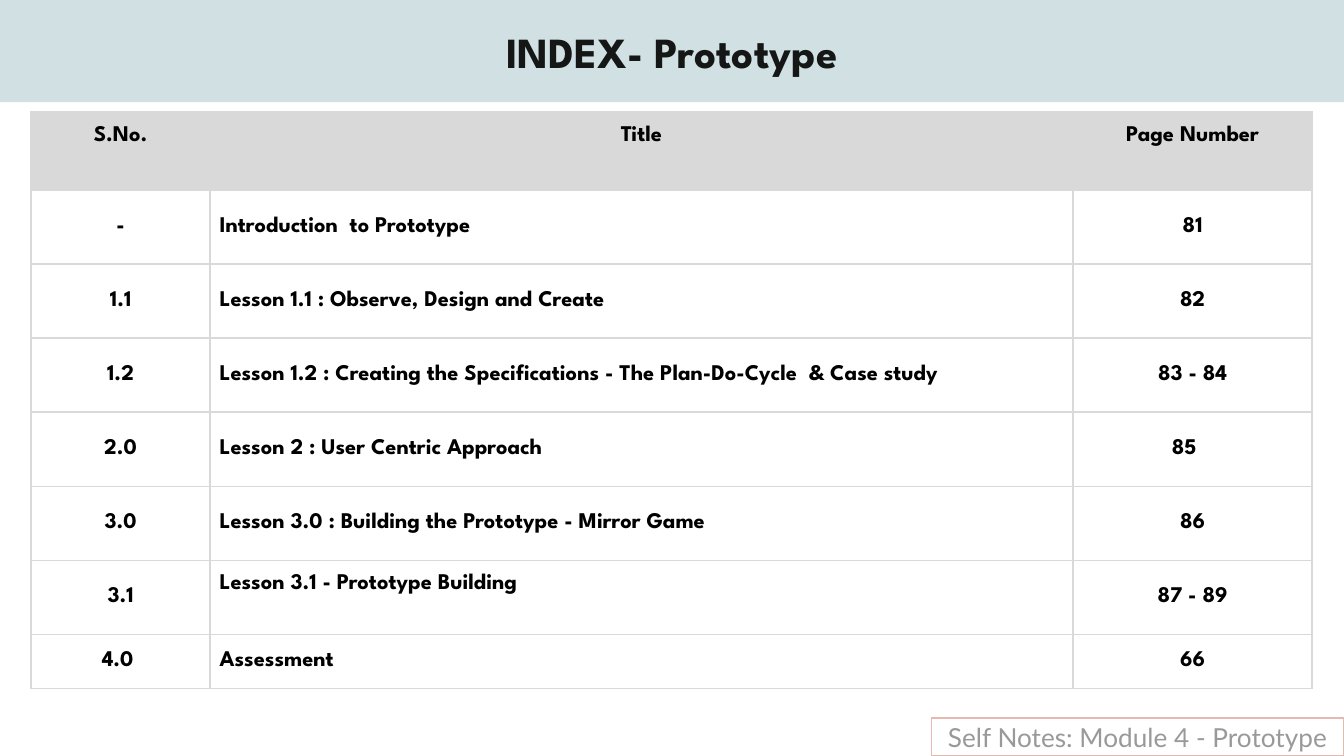
"""Build the index slide of the Prototype module."""
import pptx
import pptx.util
import pptx.dml.color
import pptx.enum.shapes
import pptx.enum.text
import pptx.oxml
import pptx.oxml.ns

Cm, Pt = pptx.util.Cm, pptx.util.Pt
ALIGN = pptx.enum.text.PP_ALIGN
ANCHOR = pptx.enum.text.MSO_ANCHOR
COLORS = {"band": "D0E0E3", "title": "151616", "text": "000000",
          "grid": "D9D9D9", "note": "999999", "note_line": "E6B8AF"}
COLS = [3.38, 16.31, 4.52]
ROW_HEIGHTS = [1.47] + [1.4] * 6 + [1.02]
ROWS = [
    ("S.No.", "Title", "Page Number"),
    ("-", "Introduction  to Prototype", "81"),
    ("1.1", "Lesson 1.1 : Observe, Design and Create", "82"),
    ("1.2", "Lesson 1.2 : Creating the Specifications - The Plan-Do-Cycle  & Case study", "83 - 84"),
    ("2.0", "Lesson 2 : User Centric Approach", "85"),
    ("3.0", "Lesson 3.0 : Building the Prototype - Mirror Game", "86"),
    ("3.1", "Lesson 3.1 - Prototype Building", "87 - 89"),
    ("4.0 ", "Assessment", "66"),
]


def rgb(name):
    return pptx.dml.color.RGBColor.from_string(COLORS[name])


def set_text(tf, text, size=12, font="League Spartan", color="text", bold=True,
             align=ALIGN.CENTER):
    p = tf.paragraphs[0]
    p.alignment = align
    r = p.add_run()
    r.text = text
    r.font.size, r.font.name, r.font.bold = Pt(size), font, bold
    r.font.color.rgb = rgb(color)


def place(sp, left, top, width, height):
    sp.left, sp.top, sp.width, sp.height = Cm(left), Cm(top), Cm(width), Cm(height)


def set_frame(tf, wrap=True):
    tf.word_wrap = wrap
    tf.auto_size = pptx.enum.text.MSO_AUTO_SIZE.NONE
    tf.vertical_anchor = ANCHOR.MIDDLE
    tf.margin_left = tf.margin_right = tf.margin_top = tf.margin_bottom = Cm(0.25)


def set_borders(cell):
    tcPr = cell._tc.get_or_add_tcPr()
    for i, side in enumerate(("lnL", "lnR", "lnT", "lnB")):
        tcPr.insert(i, pptx.oxml.parse_xml(
            f'<a:{side} {pptx.oxml.ns.nsdecls("a")} w="{Pt(1)}"><a:solidFill>'
            f'<a:srgbClr val="{COLORS["grid"]}"/></a:solidFill></a:{side}>'))


def add_title(s):
    sp = s.shapes.title
    place(sp, 0, 0, 25.4, 1.93)
    sp.fill.solid()
    sp.fill.fore_color.rgb = rgb("band")
    set_frame(sp.text_frame)
    set_text(sp.text_frame, "INDEX- Prototype", size=23, color="title")


def fill_cell(cell, text, header, align):
    cell.margin_left = cell.margin_right = Cm(0.18)
    cell.margin_top = cell.margin_bottom = Cm(0.25)
    cell.vertical_anchor = ANCHOR.TOP if header else ANCHOR.MIDDLE
    if header:
        cell.fill.solid()
        cell.fill.fore_color.rgb = rgb("grid")
    else:
        cell.fill.background()
    set_borders(cell)
    set_text(cell.text_frame, text, align=align)


def add_index(s):
    table = s.shapes.add_table(len(ROWS), len(COLS), Cm(0.59), Cm(2.12),
                               Cm(sum(COLS)), Cm(sum(ROW_HEIGHTS))).table
    for col, width in zip(table.columns, COLS):
        col.width = Cm(width)
    for i, (row, height) in enumerate(zip(table.rows, ROW_HEIGHTS)):
        row.height = Cm(height)
        for j, text in enumerate(ROWS[i]):
            align = ALIGN.LEFT if i and j == 1 else ALIGN.CENTER
            fill_cell(table.cell(i, j), text, i == 0, align)
    table.cell(4, 2).margin_right = Cm(0.5)
    table.cell(6, 1).vertical_anchor = ANCHOR.TOP


def add_note(s):
    sp = s.shapes.add_shape(pptx.enum.shapes.MSO_SHAPE.RECTANGLE, 0, 0, 0, 0)
    place(sp, 17.6, 13.56, 7.8, 0.72)
    sp.shadow.inherit = False
    sp.fill.background()
    sp.line.color.rgb = rgb("note_line")
    sp.line.width = Pt(0.75)
    set_frame(sp.text_frame, wrap=False)
    set_text(sp.text_frame, "Self Notes: Module 4 - Prototype", size=14,
             font="Lato", color="note", bold=False)


def main():
    prs = pptx.Presentation()
    prs.slide_width, prs.slide_height = Cm(25.4), Cm(14.28)
    s = prs.slides.add_slide(prs.slide_layouts[5])
    add_title(s)
    add_index(s)
    add_note(s)
    prs.save("out.pptx")


if __name__ == "__main__":
    main()
